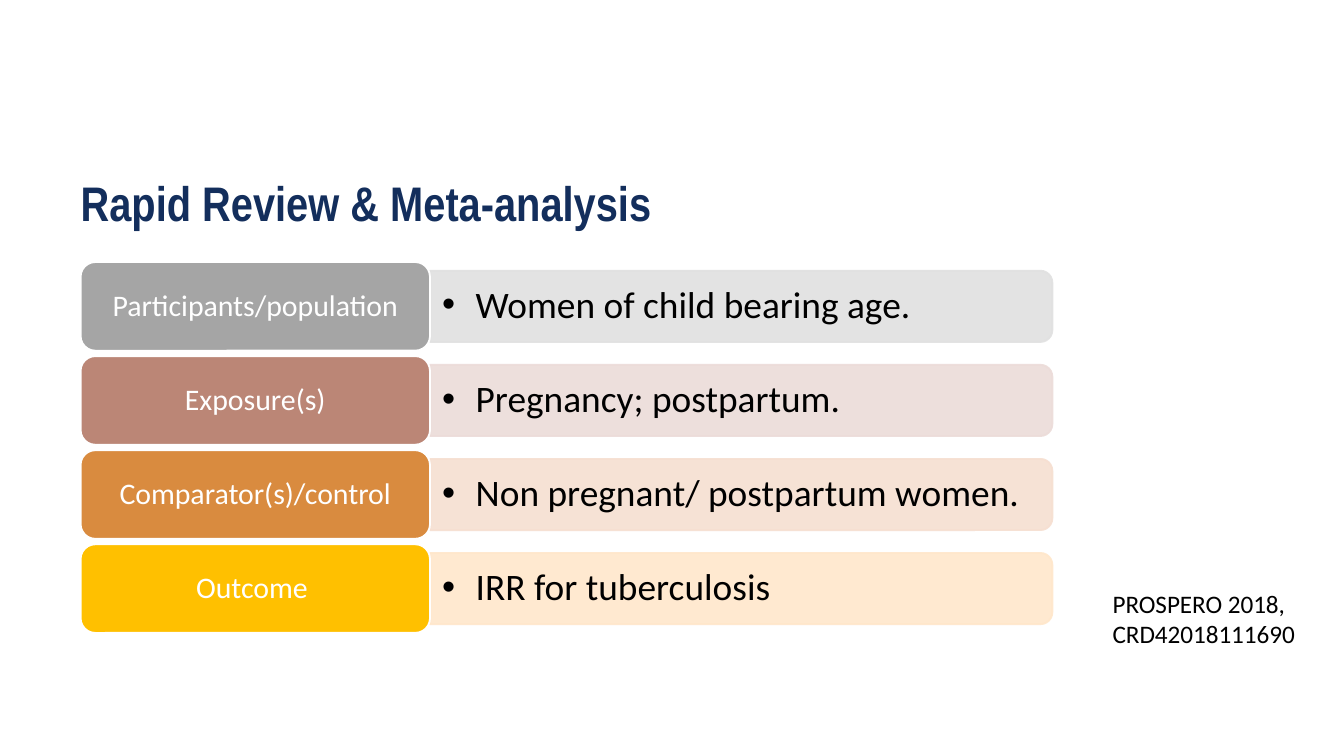
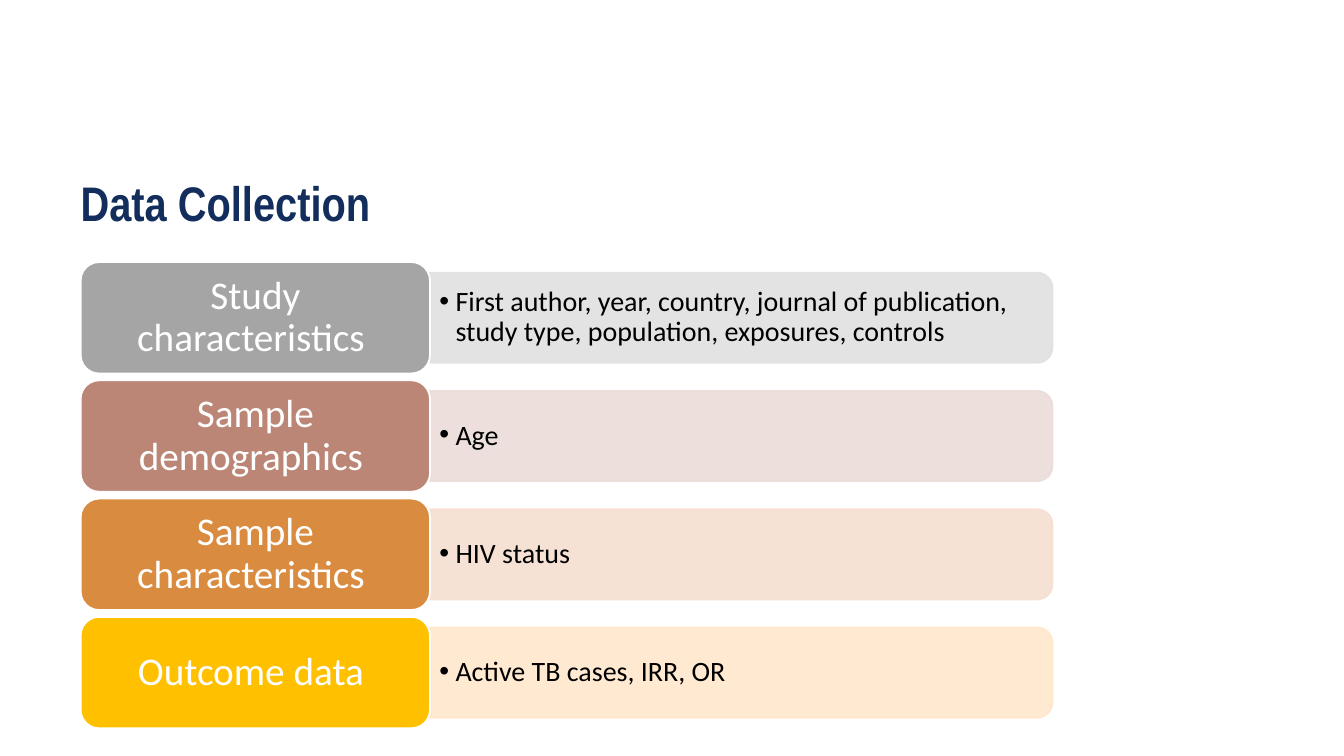
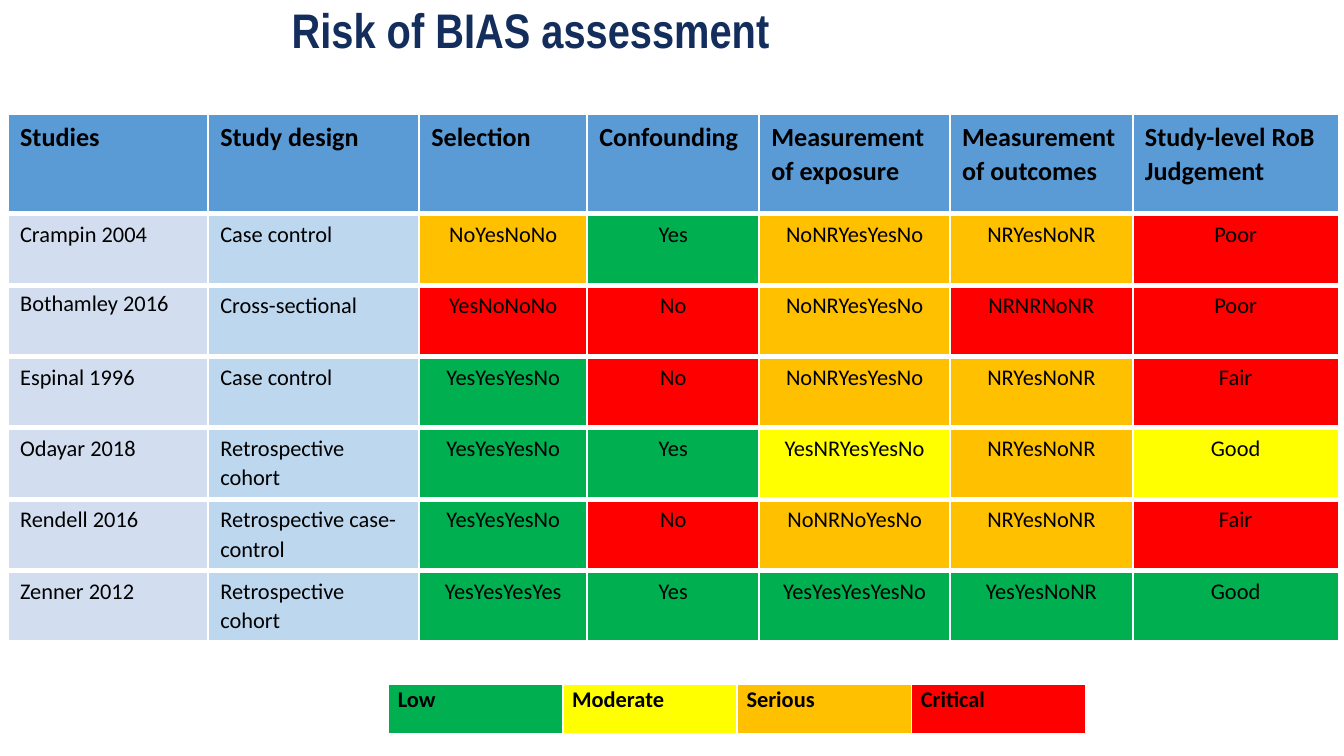
import pptx
import pptx.util
import pptx.oxml
import pptx.dml.color
import pptx.enum.shapes
import pptx.enum.text

Inches = pptx.util.Inches
Pt = pptx.util.Pt
RGBColor = pptx.dml.color.RGBColor
Kind = pptx.enum.shapes.MSO_SHAPE
Align = pptx.enum.text.PP_ALIGN
Anchor = pptx.enum.text.MSO_ANCHOR

NAVY = RGBColor(0x13, 0x2E, 0x5C)
BLACK = RGBColor(0, 0, 0)
WHITE = RGBColor(0xFF, 0xFF, 0xFF)
HEAD = RGBColor(0x5B, 0x9B, 0xD5)
STUDY = RGBColor(0xD2, 0xDE, 0xEF)
DESIGN = RGBColor(0xBD, 0xD7, 0xEE)
LOW = RGBColor(0x00, 0xB0, 0x50)
MODERATE = RGBColor(0xFF, 0xFF, 0x00)
SERIOUS = RGBColor(0xFF, 0xC0, 0x00)
CRITICAL = RGBColor(0xFF, 0, 0)
TONES = [
    (RGBColor(0xA5, 0xA5, 0xA5), RGBColor(0xE1, 0xE1, 0xE1)),
    (RGBColor(0xBB, 0x86, 0x76), RGBColor(0xEC, 0xDC, 0xD9)),
    (RGBColor(0xD9, 0x8B, 0x3F), RGBColor(0xF6, 0xDF, 0xD1)),
    (RGBColor(0xFF, 0xC0, 0x00), RGBColor(0xFF, 0xE7, 0xCB)),
]
RISKS = {"L": LOW, "M": MODERATE, "S": SERIOUS, "C": CRITICAL}
XMLNS = 'xmlns:a="http://schemas.openxmlformats.org/drawingml/2006/main"'


def add_text(slide, place, words, size, tint, face="Calibri", pad=(0, 0), indent=0):
    frame = slide.shapes.add_textbox(*[Inches(n) for n in place]).text_frame
    frame.word_wrap = True
    frame.margin_left = frame.margin_right = Inches(pad[0])
    frame.margin_top = frame.margin_bottom = Inches(pad[1])
    frame.text = words
    for para in frame.paragraphs:
        if indent:
            props = para._p.get_or_add_pPr()
            props.set("marL", str(Inches(indent)))
            props.set("indent", str(-Inches(indent)))
            props.append(pptx.oxml.parse_xml(f'<a:buFont {XMLNS} typeface="Arial"/>'))
            props.append(pptx.oxml.parse_xml(f'<a:buChar {XMLNS} char="•"/>'))
        para.font.size = Pt(size)
        para.font.name = face
        para.font.color.rgb = tint
    return frame


def fill_cell(cell, words, size, fill, pad, top, bold=False):
    cell.margin_left = cell.margin_right = Inches(pad[0])
    cell.margin_top = cell.margin_bottom = Inches(pad[1])
    cell.text = words
    para = cell.text_frame.paragraphs[0]
    para.line_spacing = 1.07
    para.font.size = Pt(size)
    para.font.name = "Calibri"
    para.font.bold = bold
    para.font.color.rgb = BLACK
    cell.fill.solid()
    cell.fill.fore_color.rgb = fill
    props = cell._tc.get_or_add_tcPr()
    for spot, (side, width) in enumerate([("L", 1), ("R", 1), ("T", top), ("B", 3)]):
        props.insert(spot, pptx.oxml.parse_xml(
            f'<a:ln{side} {XMLNS} w="{Pt(width)}"><a:solidFill>'
            f'<a:srgbClr val="{WHITE}"/></a:solidFill></a:ln{side}>'))
    return para


deck = pptx.Presentation()
deck.slide_width = Inches(10)
deck.slide_height = Inches(10 * 9 / 16)
blank = deck.slide_layouts[6]

titles = [("Rapid Review & Meta-analysis", 0.6, 1.29),
          ("Data Collection", 0.6, 1.29),
          ("Risk of BIAS assessment", 2.17, 0)]
slides = []
for title, left, top in titles:
    slide = deck.slides.add_slide(blank)
    frame = add_text(slide, (left, top, 7.58, 0.53), title, 26, NAVY, "Arial Narrow")
    frame.paragraphs[0].font.bold = True
    slides.append(slide)
review, data, bias = slides

lists = [
    dict(slide=review, pitch=0.7, tall=0.66, bar=0.53, label=16, body=20,
         inset=0.03, pad=(0.07, 0.03), room=(0.08, 0.04), indent=0.25, rows=[
             ("Participants/population", "Women of child bearing age."),
             ("Exposure(s)", "Pregnancy; postpartum."),
             ("Comparator(s)/control", "Non pregnant/ postpartum women."),
             ("Outcome ", "IRR for tuberculosis")]),
    dict(slide=data, pitch=0.88, tall=0.83, bar=0.67, label=21, body=15,
         inset=0.04, pad=(0.09, 0.04), room=(0.06, 0.03), indent=0.12, rows=[
             ("Study characteristics ", "First author, year, country, journal of publication, "
              "study type, population, exposures, controls"),
             ("Sample demographics ", "Age"),
             ("Sample characteristics ", "HIV status"),
             ("Outcome data ", "Active TB cases, IRR, OR")]),
]
LEFT, TOP, WIDE, LONG = 0.6, 1.95, 2.6, 4.63
for item in lists:
    slide, tall, bar, inset = item["slide"], item["tall"], item["bar"], item["inset"]
    for row, ((label, body), (dark, light)) in enumerate(zip(item["rows"], TONES)):
        top = TOP + row * item["pitch"]
        mid = top + tall / 2
        band = slide.shapes.add_shape(
            Kind.ROUND_2_SAME_RECTANGLE, Inches(LEFT + WIDE + (LONG - bar) / 2),
            Inches(mid - LONG / 2), Inches(bar), Inches(LONG))
        band.rotation = 90
        high = bar * 0.9
        frame = add_text(slide, (3.21, mid - high / 2, 4.6, high), body, item["body"],
                         BLACK, pad=item["room"], indent=item["indent"])
        tab = slide.shapes.add_shape(Kind.ROUNDED_RECTANGLE, Inches(LEFT), Inches(top),
                                     Inches(WIDE), Inches(tall))
        name = add_text(slide, (LEFT + inset, top + inset, WIDE - 2 * inset, tall - 2 * inset),
                        label, item["label"], WHITE, pad=item["pad"])
        name.paragraphs[0].alignment = Align.CENTER
        for text in (frame, name):
            text.vertical_anchor = Anchor.MIDDLE
            text.paragraphs[0].line_spacing = 0.9
        for shape, fill, edge in ((band, light, light), (tab, dark, WHITE)):
            shape.shadow.inherit = False
            shape.fill.solid()
            shape.fill.fore_color.rgb = fill
            shape.line.color.rgb = edge
            shape.line.width = Pt(1)
        for paint in band._element.spPr.iter(pptx.oxml.ns.qn("a:srgbClr")):
            paint.append(pptx.oxml.parse_xml(f'<a:alpha {XMLNS} val="90000"/>'))

add_text(review, (8.18, 4.33, 1.65, 0.56), "PROSPERO 2018,\nCRD42018111690", 13.5, BLACK,
         pad=(0.1, 0.05))

heads = ["Studies", "Study design", "Selection", "Confounding", "Measurement of exposure",
         "Measurement of outcomes", "Study-level RoB Judgement"]
studies = [
    ("Crampin 2004", "Case control", "NoYesNoNo", "Yes", "NoNRYesYesNo", "NRYesNoNR", "Poor", "SLSSC"),
    ("Bothamley 2016", "Cross-sectional", "YesNoNoNo", "No", "NoNRYesYesNo", "NRNRNoNR", "Poor", "CCSCC"),
    ("Espinal 1996", "Case control", "YesYesYesNo", "No", "NoNRYesYesNo", "NRYesNoNR", "Fair", "LCSSC"),
    ("Odayar 2018", "Retrospective cohort", "YesYesYesNo", "Yes", "YesNRYesYesNo", "NRYesNoNR", "Good", "LLMSM"),
    ("Rendell 2016", "Retrospective case-control", "YesYesYesNo", "No", "NoNRNoYesNo", "NRYesNoNR", "Fair", "LCSSC"),
    ("Zenner 2012", "Retrospective cohort", "YesYesYesYes", "Yes", "YesYesYesYesNo", "YesYesNoNR", "Good", "LLLLL"),
]
grid = bias.shapes.add_table(7, 7, Inches(0.06), Inches(0.85), Inches(9.89), Inches(3.93)).table
for col, width in enumerate([1.49, 1.57, 1.25, 1.28, 1.42, 1.36, 1.53]):
    grid.columns[col].width = Inches(width)
    fill_cell(grid.cell(0, col), heads[col], 14, HEAD, (0.09, 0.04), 1, True)
grid.rows[0].height = Inches(0.74)
for row, (*words, marks) in enumerate(studies, 1):
    grid.rows[row].height = Inches((3.93 - 0.74) / len(studies))
    fills = [STUDY, DESIGN] + [RISKS[mark] for mark in marks]
    for col, (word, fill) in enumerate(zip(words, fills)):
        para = fill_cell(grid.cell(row, col), word, 12, fill, (0.09, 0.04), 3)
        if col > 1:
            para.alignment = Align.CENTER
        if word == "Bothamley 2016":
            para.line_spacing = 1.0

levels = ["Low", "Moderate", "Serious", "Critical"]
legend = bias.shapes.add_table(1, 4, Inches(2.89), Inches(5.09), Inches(5.19), Inches(0.38)).table
for col, level in enumerate(levels):
    fill_cell(legend.cell(0, col), level, 12, RISKS[level[0]], (0.07, 0), 1, True)

deck.save("out.pptx")
